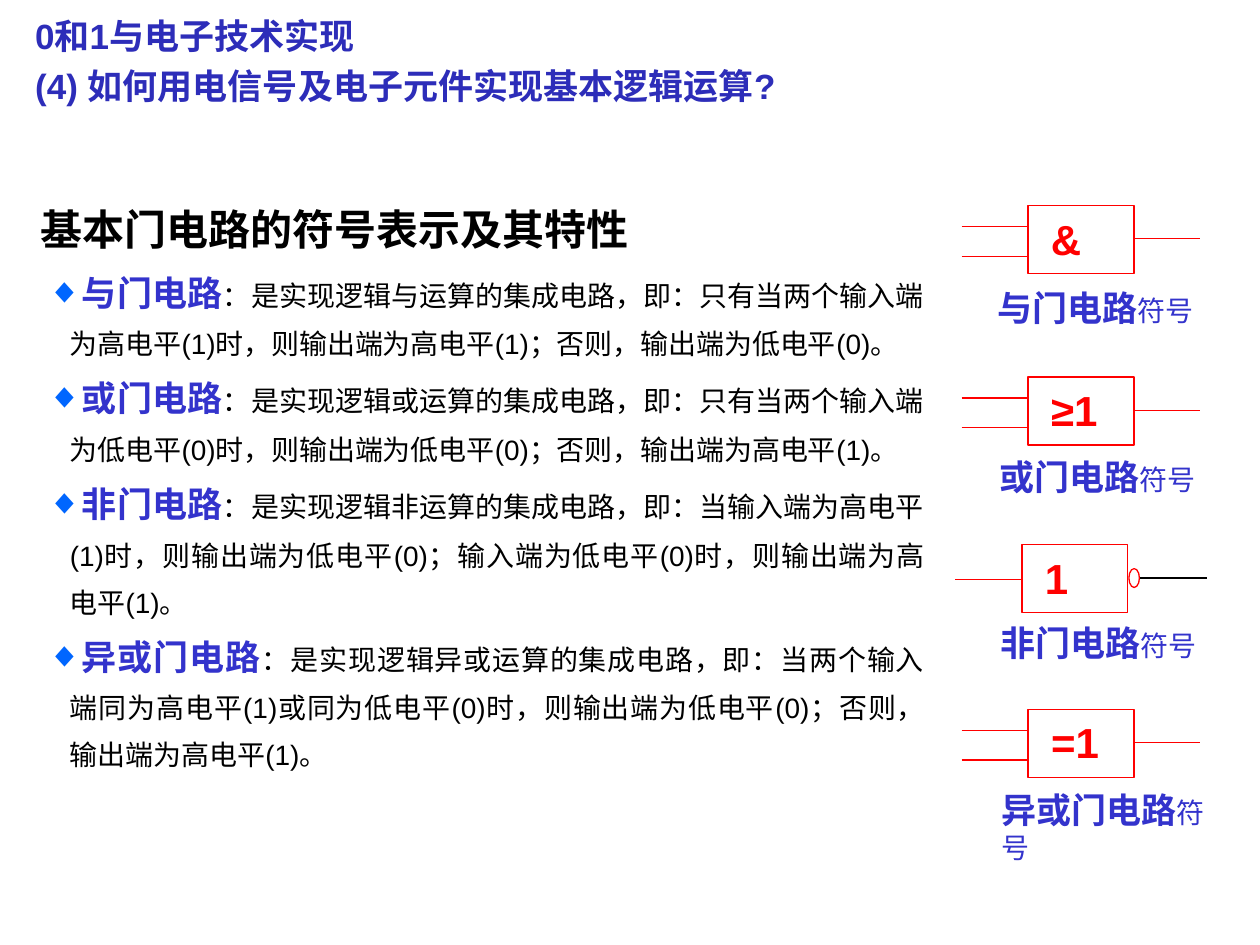
from pptx import Presentation
from pptx.dml.color import RGBColor as RGB
from pptx.enum.shapes import MSO_CONNECTOR as CONNECTOR, MSO_SHAPE as SHAPE
from pptx.enum.text import MSO_AUTO_SIZE as AUTO_SIZE, PP_ALIGN as ALIGN
from pptx.oxml.ns import qn
from pptx.util import Pt
from lxml.etree import SubElement

# Content
TITLE = ["0和1与电子技术实现", "(4) 如何用电信号及电子元件实现基本逻辑运算?"]
HEADING = "基本门电路的符号表示及其特性"
LABEL_SUFFIX = "符号"
DEFINITIONS = [
    ("与门电路", "：是实现逻辑与运算的集成电路，即：只有当两个输入端为高电平(1)时，"
                 "则输出端为高电平(1)；否则，输出端为低电平(0)。"),
    ("或门电路", "：是实现逻辑或运算的集成电路，即：只有当两个输入端为低电平(0)时，"
                 "则输出端为低电平(0)；否则，输出端为高电平(1)。"),
    ("非门电路", "：是实现逻辑非运算的集成电路，即：当输入端为高电平(1)时，"
                 "则输出端为低电平(0)；输入端为低电平(0)时，则输出端为高电平(1)。"),
    ("异或门电路", "：是实现逻辑异或运算的集成电路，即：当两个输入端同为高电平(1)或"
                   "同为低电平(0)时，则输出端为低电平(0)；否则，输出端为高电平(1)。"),
]
# name, sign, sign width, gate left and top, inverted, label left, top and width
GATES = [
    ("与门电路", "&", 31.7, 587.5, 117.5, False, 563, 160, 126.7),
    ("或门电路", "≥1", 51.8, 587.5, 215.5, False, 564, 257, 126.7),
    ("非门电路", "1", 34.6, 584, 311.3, True, 564.5, 351.4, 126.7),
    ("异或门电路", "=1", 41.8, 587.5, 405.4, False, 565.2, 447.1, 146.2),
]

THEME = {
    "font": "Arial", "title": RGB(0x2D, 0x2D, 0xB9), "name": RGB(0x33, 0x33, 0xCC),
    "text": RGB(0, 0, 0), "gate": RGB(0xFF, 0, 0), "bullet": "0066FF",
    "big": Pt(24), "medium": Pt(20), "small": Pt(16), "line": Pt(0.75),
}

# Gate geometry
GATE_WIDTH, GATE_HEIGHT, WIRE = 60.5, 38.9, 38
INPUT_PAIR, INPUT_SINGLE, OUTPUT = (11.9, 28.9), (19.7,), 19
BUBBLE_WIDTH, BUBBLE_HEIGHT = 6, 10.8

presentation = Presentation()
presentation.slide_width, presentation.slide_height = Pt(720), Pt(540)
slide = presentation.slides.add_slide(presentation.slide_layouts[6])


def add_text_box(left, top, width, height, wrap=False):
    shape = slide.shapes.add_textbox(Pt(left), Pt(top), Pt(width), Pt(height))
    shape.text_frame.word_wrap = wrap
    shape.text_frame.auto_size = AUTO_SIZE.SHAPE_TO_FIT_TEXT
    return shape.text_frame


def next_paragraph(frame, index):
    return frame.add_paragraph() if index else frame.paragraphs[0]


def style(font, size, color, bold=True):
    font.name, font.size, font.bold = THEME["font"], size, bold
    font.color.rgb = color


def add_run(paragraph, text, size, color, bold=True):
    run = paragraph.add_run()
    run.text = text
    style(run.font, size, color, bold)


def add_bullet(paragraph):
    properties = paragraph._p.get_or_add_pPr()
    properties.set("marL", str(Pt(17)))
    properties.set("indent", str(Pt(-13)))
    color = SubElement(properties, qn("a:buClr"))
    SubElement(color, qn("a:srgbClr"), val=THEME["bullet"])
    SubElement(properties, qn("a:buFont"), typeface=THEME["font"])
    SubElement(properties, qn("a:buChar"), char="◆")


def add_outline(kind, left, top, width, height):
    shape = slide.shapes.add_shape(kind, Pt(left), Pt(top), Pt(width), Pt(height))
    shape.shadow.inherit = False
    shape.fill.background()
    shape.line.color.rgb, shape.line.width = THEME["gate"], THEME["line"]


def add_wire(left, y, color):
    wire = slide.shapes.add_connector(
        CONNECTOR.STRAIGHT, Pt(left), Pt(y), Pt(left + WIRE), Pt(y))
    wire.line.color.rgb, wire.line.width = color, THEME["line"]
    SubElement(wire._element.spPr, qn("a:effectLst"))


def add_gate(sign, sign_width, left, top, inverted):
    add_outline(SHAPE.RECTANGLE, left, top, GATE_WIDTH, GATE_HEIGHT)
    for offset in INPUT_SINGLE if inverted else INPUT_PAIR:
        add_wire(left - WIRE, top + offset, THEME["gate"])
    right, output_y = left + GATE_WIDTH, top + OUTPUT
    if inverted:
        add_outline(SHAPE.OVAL, right + 0.6, output_y - BUBBLE_HEIGHT / 2,
                    BUBBLE_WIDTH, BUBBLE_HEIGHT)
        right += BUBBLE_WIDTH + 1
    add_wire(right, output_y, THEME["text" if inverted else "gate"])
    paragraph = add_text_box(left + 6, top + 0.7, sign_width, 36).paragraphs[0]
    add_run(paragraph, sign, THEME["big"], THEME["gate"])


# Heading and definitions
body = add_text_box(15.8, 101.5, 519.8, 344.2, wrap=True)
for index, (name, definition) in enumerate([(HEADING, "")] + DEFINITIONS):
    paragraph = next_paragraph(body, index)
    paragraph.alignment, paragraph.line_spacing = ALIGN.JUSTIFY, 1.4
    if definition:
        add_bullet(paragraph)
        add_run(paragraph, name, THEME["medium"], THEME["name"])
        add_run(paragraph, definition, THEME["small"], THEME["text"], bold=False)
    else:
        add_run(paragraph, name, THEME["big"], THEME["text"])

# Gate symbols and their labels
for name, sign, sign_width, left, top, inverted, *label_place, label_width in GATES:
    add_gate(sign, sign_width, left, top, inverted)
    paragraph = add_text_box(*label_place, label_width, 31).paragraphs[0]
    add_run(paragraph, name, THEME["medium"], THEME["name"])
    add_run(paragraph, LABEL_SUFFIX, THEME["small"], THEME["name"], bold=False)

# Title
title = add_text_box(13, 0, 436.3, 64.8)
for index, line in enumerate(TITLE):
    paragraph = next_paragraph(title, index)
    paragraph.text, paragraph.line_spacing = line, 1.2
    style(paragraph.font, THEME["medium"], THEME["title"])

presentation.save("out.pptx")
